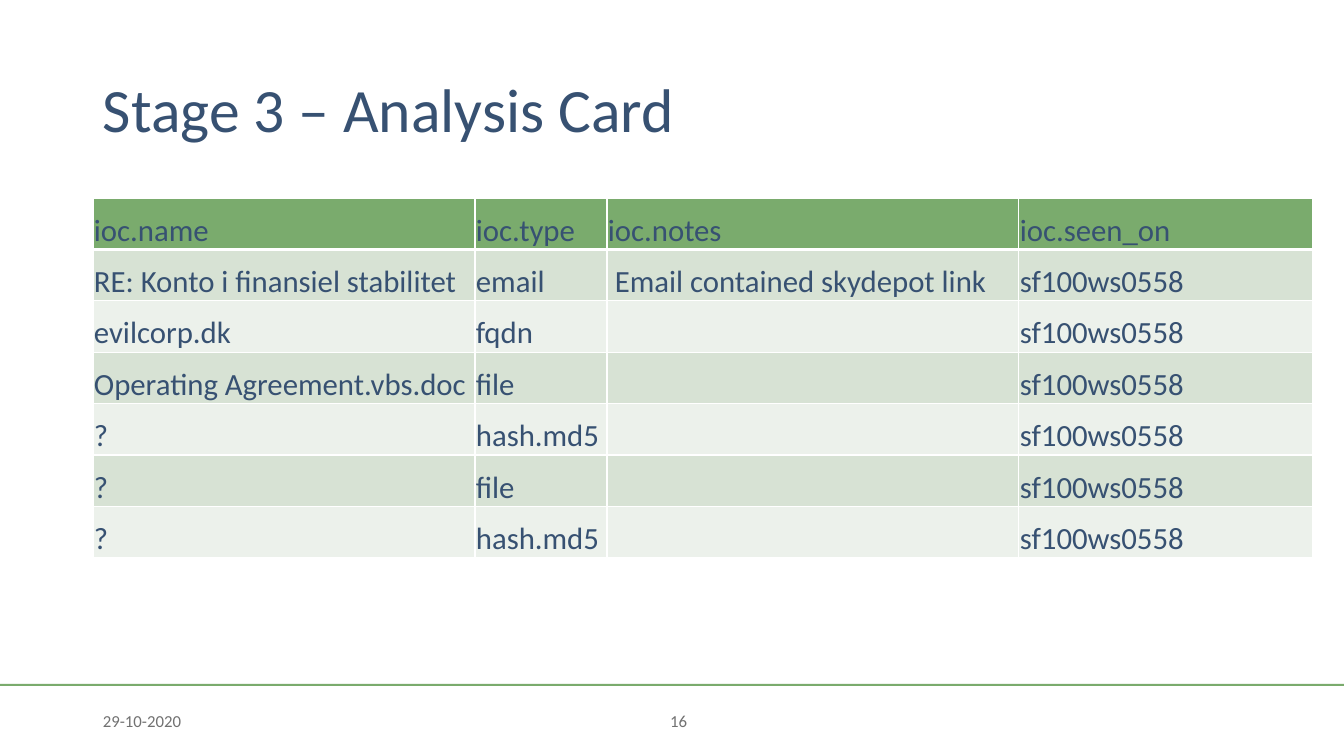
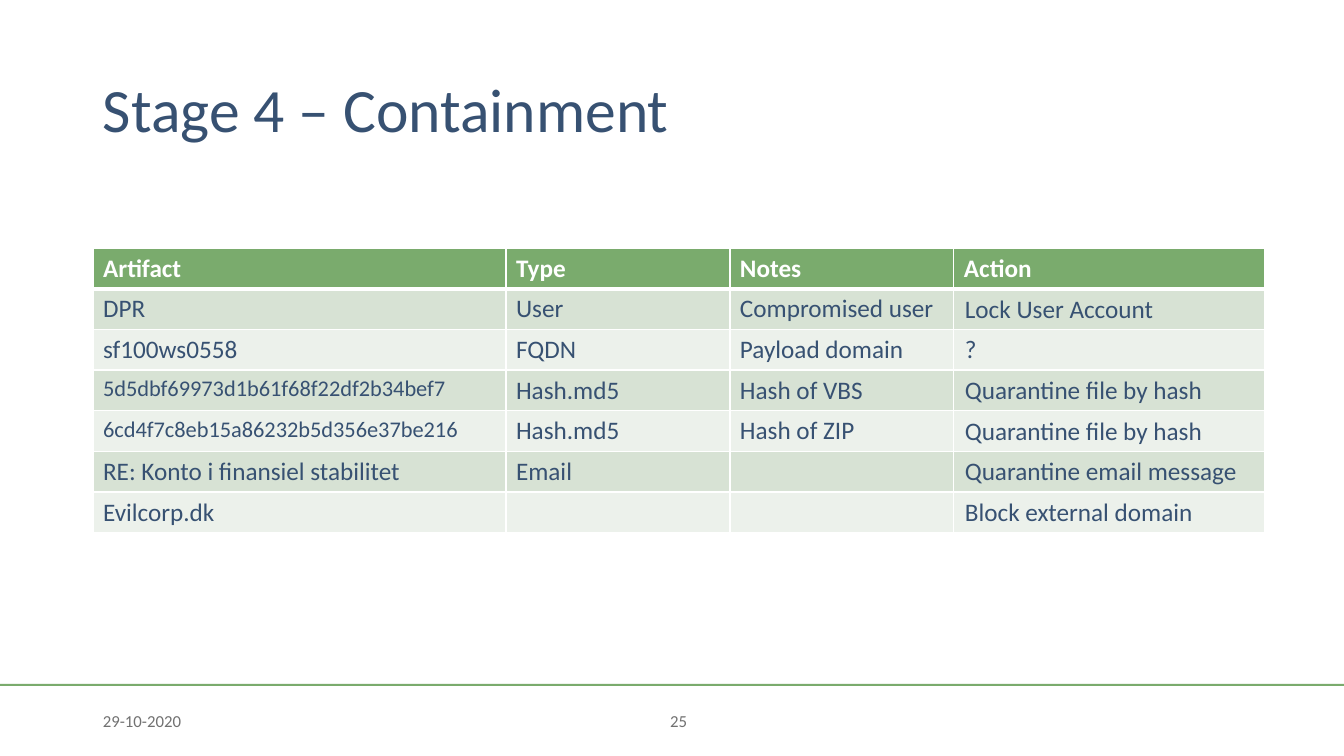
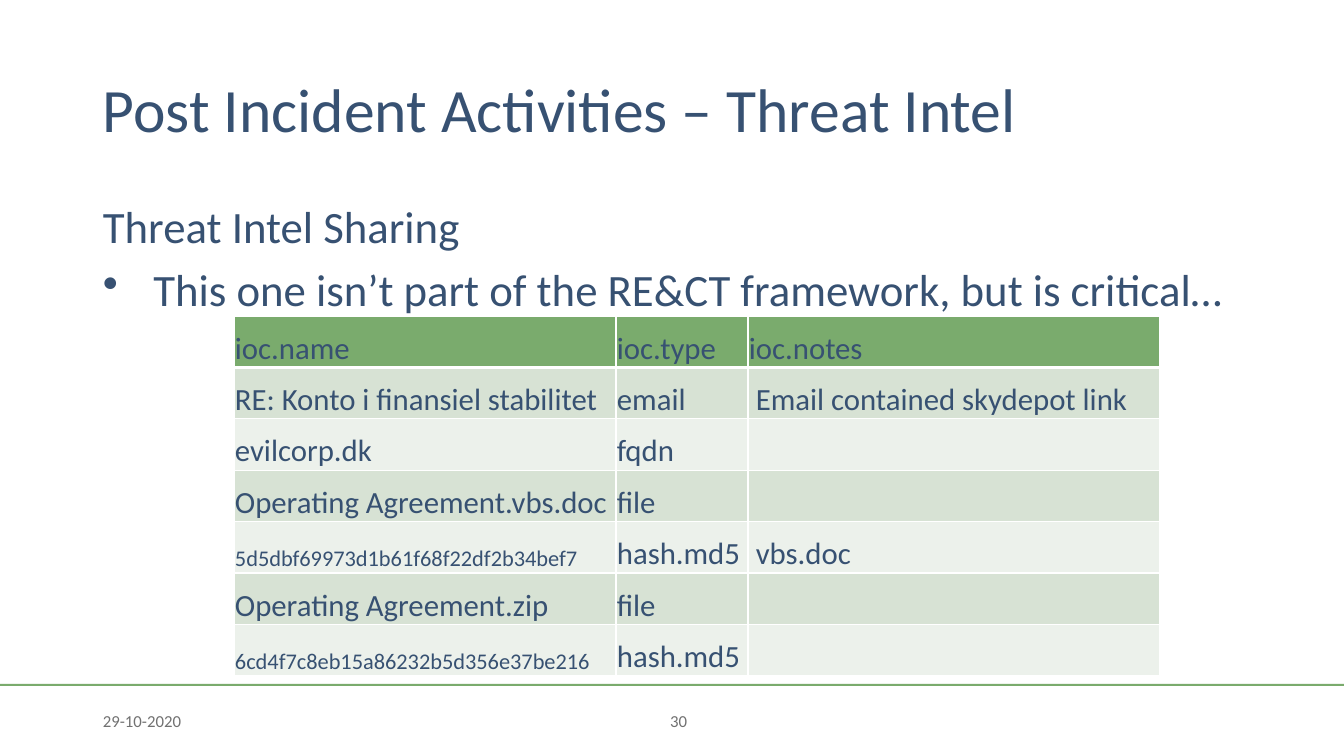
from lxml.etree import SubElement
from pptx import Presentation
from pptx.dml.color import RGBColor
from pptx.enum.shapes import MSO_SHAPE
from pptx.enum.text import MSO_ANCHOR, PP_ALIGN
from pptx.oxml.ns import qn
from pptx.util import Pt

PX = 914400 / 100.8
FONT = "Calibri"
COLORS = {
    "ink": "375172",
    "grey": "717171",
    "green": "7AAB6D",
    "band": "D7E2D4",
    "pale": "ECF1EB",
    "white": "FFFFFF",
}
HASH_VBS = "5d5dbf69973d1b61f68f22df2b34bef7"
HASH_ZIP = "6cd4f7c8eb15a86232b5d356e37be216"
HOST = "sf100ws0558"
SUBJECT = "RE: Konto i finansiel stabilitet"
MAIL_NOTE = " Email contained skydepot link"
IOC_COLS = [382, 132, 412]
IOC_STYLE = {"size": 22, "head": "ink", "bold": False, "anchor": MSO_ANCHOR.BOTTOM, "tight": True}
ACTION_STYLE = {"size": 18, "head": "white", "bold": True, "anchor": MSO_ANCHOR.TOP, "tight": False}


def add_text(s, box, lines, size, color="ink", anchor=MSO_ANCHOR.TOP,
             align=PP_ALIGN.LEFT, spacing=None, wrap=True):
    tf = s.shapes.add_textbox(*[round(v * PX) for v in box]).text_frame
    tf.word_wrap = wrap
    tf.vertical_anchor = anchor
    tf.text = "\n".join(lines)
    for p in tf.paragraphs:
        p.alignment = align
        p.line_spacing = spacing
        p.font.size = Pt(size)
        p.font.name = FONT
        p.font.color.rgb = RGBColor.from_string(COLORS[color])
    return tf


def add_grid(s, left, top, height, cols, rows, style):
    box = [round(v * PX) for v in (left, top, sum(cols), height)]
    table = s.shapes.add_table(len(rows), len(cols), *box).table
    for col, width in zip(table.columns, cols):
        col.width = round(width * PX)
    for i, row in enumerate(rows):
        table.rows[i].height = round(height * PX / len(rows))
        for j, text in enumerate(row):
            cell = table.cell(i, j)
            cell.vertical_anchor = style["anchor"]
            if style["tight"] and text:
                cell.margin_left = cell.margin_top = cell.margin_right = round(PX)
                cell.margin_bottom = 0
            cell.text = text
            p = cell.text_frame.paragraphs[0]
            p.font.size = Pt(16 if text in (HASH_VBS, HASH_ZIP) else style["size"])
            p.font.name = FONT
            p.font.bold = style["bold"] and i == 0
            ink = style["head"] if i == 0 else "ink"
            p.font.color.rgb = RGBColor.from_string(COLORS[ink])
            for side in "LRTB":
                heavy = (i, side) in ((0, "B"), (1, "T"))
                ln = SubElement(cell._tc.get_or_add_tcPr(), qn(f"a:ln{side}"), w=str(Pt(3 if heavy else 1)))
                SubElement(SubElement(ln, qn("a:solidFill")), qn("a:srgbClr"), val=COLORS["white"])
            fill = "green" if i == 0 else "band" if i % 2 else "pale"
            cell.fill.solid()
            cell.fill.fore_color.rgb = RGBColor.from_string(COLORS[fill])


prs = Presentation()
prs.slide_width = round(1344 * PX)
prs.slide_height = round(756 * PX)

slides = []
for title, number in [
    ("Stage 3 – Analysis Card", "16"),
    ("Stage 4 – Containment", "25"),
    ("Post Incident Activities – Threat Intel", "30"),
]:
    s = prs.slides.add_slide(prs.slide_layouts[6])
    rule = s.shapes.add_shape(MSO_SHAPE.RECTANGLE, *[round(v * PX) for v in (-1, 684, 1346, 2)])
    rule.shadow.inherit = False
    rule.fill.solid()
    rule.fill.fore_color.rgb = RGBColor.from_string(COLORS["green"])
    rule.line.fill.background()
    add_text(s, (93, 40, 1159, 146), [title], 44, anchor=MSO_ANCHOR.MIDDLE, spacing=0.9)
    add_text(s, (93, 701, 302, 40), ["29-10-2020"], 12, "grey", MSO_ANCHOR.MIDDLE)
    add_text(s, (395, 701, 302, 40), [number], 12, "grey", MSO_ANCHOR.MIDDLE, PP_ALIGN.RIGHT)
    slides.append(s)
analysis, containment, sharing = slides

add_grid(analysis, 93, 198, 360, IOC_COLS + [294], [
    ("ioc.name", "ioc.type", "ioc.notes", "ioc.seen_on"),
    (SUBJECT, "email", MAIL_NOTE, HOST),
    ("evilcorp.dk", "fqdn", "", HOST),
    ("Operating Agreement.vbs.doc", "file", "", HOST),
    ("?", "hash.md5", "", HOST),
    ("?", "file", "", HOST),
    ("?", "hash.md5", "", HOST),
], IOC_STYLE)

add_grid(containment, 93, 248, 285, [413, 224, 224, 311], [
    ("Artifact", "Type", "Notes", "Action"),
    ("DPR", "User", "Compromised user", ""),
    (HOST, "FQDN", "Payload domain", ""),
    (HASH_VBS, "Hash.md5", "Hash of VBS", ""),
    (HASH_ZIP, "Hash.md5", "Hash of ZIP", ""),
    (SUBJECT, "Email", "", ""),
    ("Evilcorp.dk", "", "", ""),
], ACTION_STYLE)
for i, (action, width) in enumerate([
    ("Lock User Account", 211),
    ("?", 32),
    ("Quarantine file by hash", 261),
    ("Quarantine file by hash", 261),
    ("Quarantine email message", 295),
    ("Block external domain", 251),
]):
    add_text(containment, (955, 288 + i * 285 / 7, width, 40), [action], 18, wrap=False)

tf = add_text(sharing, (93, 200, 1159, 476), [
    "Threat Intel Sharing",
    "This one isn’t part of the RE&CT framework, but is critical…",
], 32, spacing=0.9)
for p in tf.paragraphs:
    p.space_before = Pt(10)
pPr = tf.paragraphs[1]._p.get_or_add_pPr()
pPr.set("marL", str(Pt(36)))
pPr.set("indent", str(-Pt(36)))
bullet = pPr.makeelement(qn("a:buChar"), {"char": "•"})
pPr.find(qn("a:defRPr")).addprevious(bullet)
add_grid(sharing, 234, 316, 360, IOC_COLS, [
    ("ioc.name", "ioc.type", "ioc.notes"),
    (SUBJECT, "email", MAIL_NOTE),
    ("evilcorp.dk", "fqdn", ""),
    ("Operating Agreement.vbs.doc", "file", ""),
    (HASH_VBS, "hash.md5", " vbs.doc"),
    ("Operating Agreement.zip", "file", ""),
    (HASH_ZIP, "hash.md5", ""),
], IOC_STYLE)

prs.save("out.pptx")
